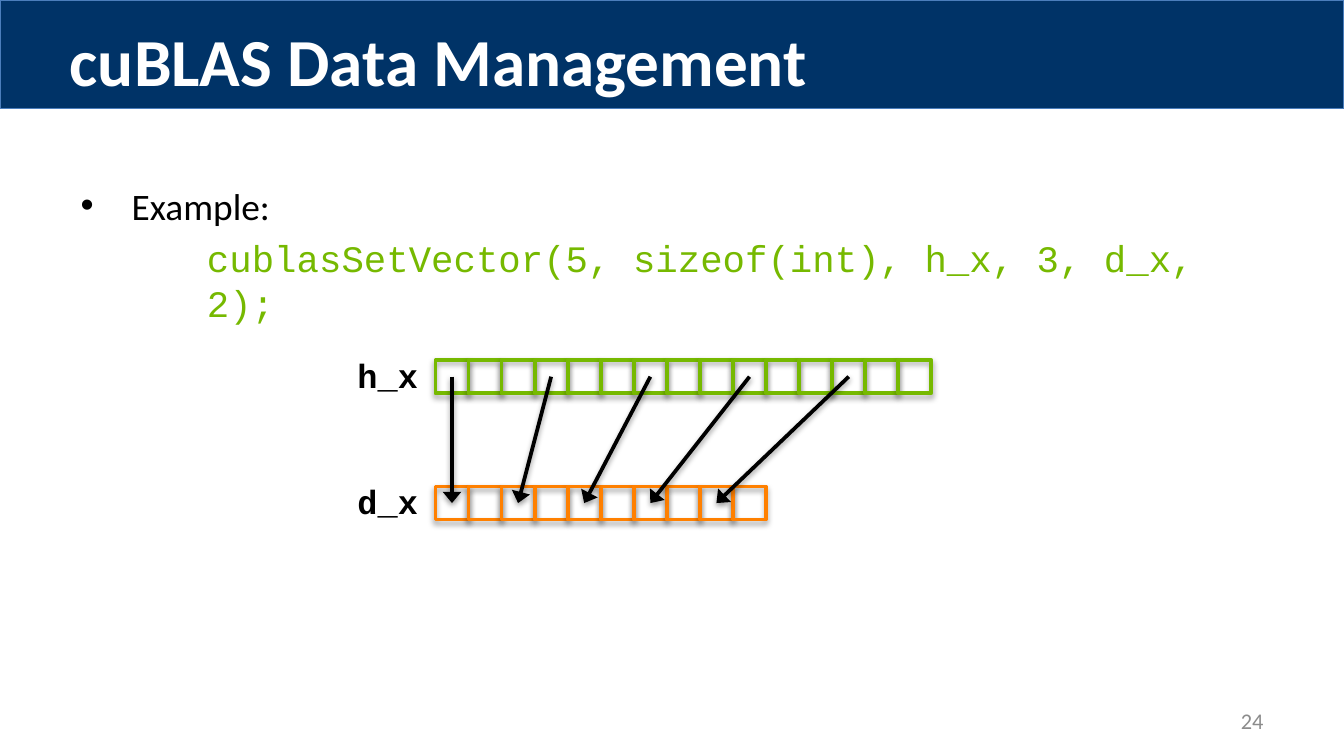
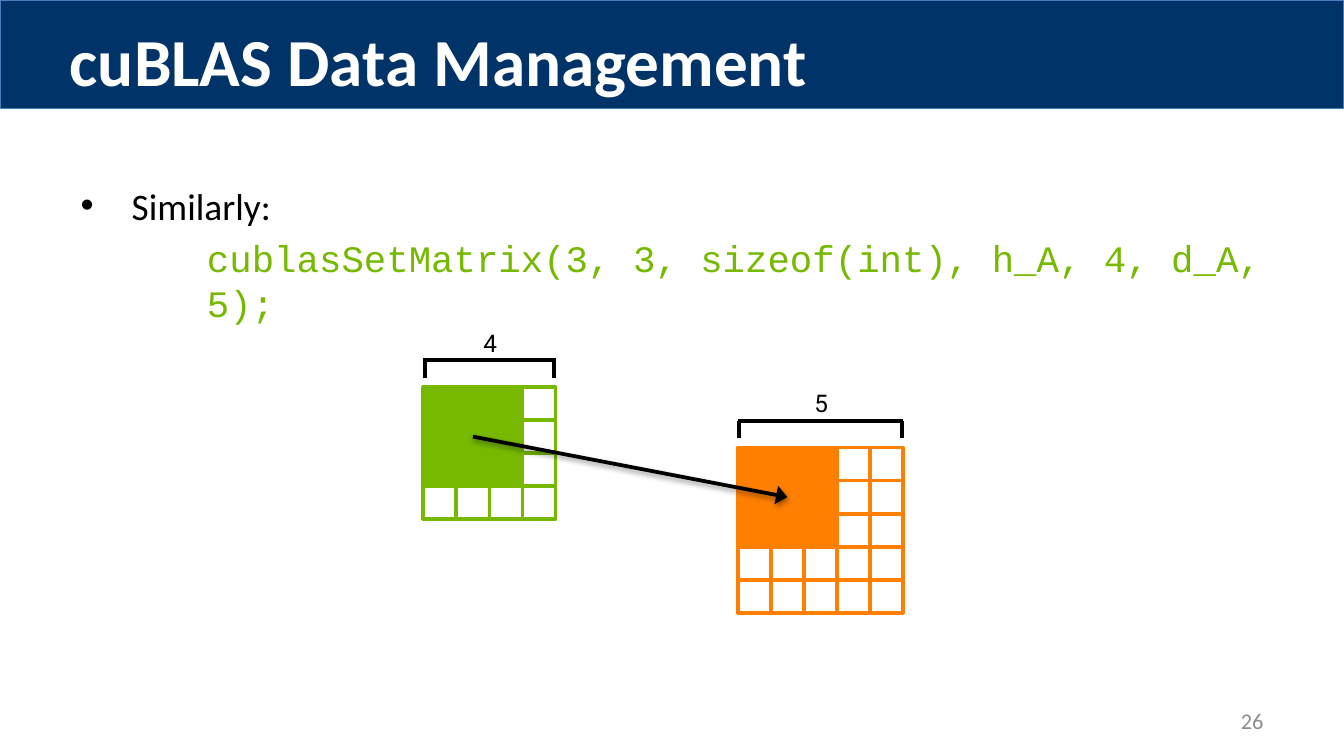
from lxml import etree
from pptx import Presentation
from pptx.dml.color import RGBColor
from pptx.enum import shapes, text
from pptx.oxml.ns import qn
from pptx.util import Inches, Pt

# Content
TITLE = "cuBLAS Data Management"
VECTOR = {
    "lead": "Example:",
    "code": "cublasSetVector(5, sizeof(int), h_x, 3, d_x, 2);",
    "number": "24",
    # label, cells, stride, top, colour
    "rows": [("h_x", 15, 3, 2.68, "green"), ("d_x", 10, 2, 3.62, "orange")],
    "copied": 5,
}
MATRIX = {
    "lead": "Similarly:",
    "code": "cublasSetMatrix(3, 3, sizeof(int), h_A, 4, d_A, 5);",
    "number": "26",
    # order, left, top, colour
    "grids": [(4, 3.15, 2.88, "green"), (5, 5.49, 3.33, "orange")],
    "copied": 3,
}

# Shared look
COLORS = {"band": "003367", "band_line": "4B7EBC", "green": "76B900", "orange": "FF8000",
          "black": "000000", "white": "FFFFFF", "grey": "8C8C8C"}
SANS, MONO, LABEL = "Calibri", "Courier New", "Roboto"
W = 10
H = W * 9 / 16
BAND_H = 0.81
VECTOR_LEFT = 3.24
CELL = 3.69 / 15
BRACKET_GAP, TICK = 0.2, 0.13
INSETS = (0.08, 0.04)


def rgb(name):
    return RGBColor.from_string(COLORS[name])


def box(left, top, width, height):
    return [Inches(v) for v in (left, top, width, height)]


def place(sp, *at):
    sp.left, sp.top, sp.width, sp.height = box(*at)


def style(p, size, font, color, bold=False):
    for r in p.runs:
        r.font.size, r.font.name, r.font.bold = Pt(size), font, bold
        r.font.color.rgb = rgb(color)


def set_effect(sp, alpha=0, distance=0):
    """Replace the theme shadow with none, or with a soft one straight below."""
    effects = etree.SubElement(sp._element.spPr, qn("a:effectLst"))
    if alpha:
        outer = etree.SubElement(effects, qn("a:outerShdw"), blurRad=str(Pt(3.1)),
                                 dist=str(Pt(distance)), dir="5400000", rotWithShape="0")
        tint = etree.SubElement(outer, qn("a:srgbClr"), val=COLORS["black"])
        etree.SubElement(tint, qn("a:alpha"), val=str(alpha * 1000))


def add_rect(s, at, fill, line, weight, shadow=()):
    sp = s.shapes.add_shape(shapes.MSO_SHAPE.RECTANGLE, *box(*at))
    if fill:
        sp.fill.solid()
        sp.fill.fore_color.rgb = rgb(fill)
    else:
        sp.fill.background()
    sp.line.color.rgb = rgb(line)
    sp.line.width = Pt(weight)
    set_effect(sp, *shadow)
    return sp


def add_line(s, start, end, arrow=False):
    ends = [Inches(v) for v in (*start, *end)]
    c = s.shapes.add_connector(shapes.MSO_CONNECTOR.STRAIGHT, *ends)
    c.line.color.rgb = rgb("black")
    c.line.width = Pt(2)
    if arrow:
        etree.SubElement(c.line._get_or_add_ln(), qn("a:tailEnd"),
                         type="triangle", w="lg", len="med")
        set_effect(c, 38, 1.6)
    else:
        set_effect(c)


def add_label(s, at, words, align, look, insets=(0.1, 0.05), anchor="TOP"):
    tf = s.shapes.add_textbox(*box(*at)).text_frame
    tf.word_wrap = True
    tf.vertical_anchor = text.MSO_ANCHOR[anchor]
    tf.margin_left = tf.margin_right = Inches(insets[0])
    tf.margin_top = tf.margin_bottom = Inches(insets[1])
    tf.text = words
    p = tf.paragraphs[0]
    p.alignment = text.PP_ALIGN[align]
    style(p, *look)


def add_slide(prs, content):
    s = prs.slides.add_slide(prs.slide_layouts[1])

    # Band behind the title
    band = add_rect(s, (0, 0, W, BAND_H), "band", "band_line", 0.75)
    s.shapes._spTree.insert(2, band._element)
    title, body = s.placeholders
    place(title, 0.42, 0.09, 8.67, 0.71)
    tf = title.text_frame
    tf.text = TITLE
    tf.auto_size = text.MSO_AUTO_SIZE.NONE
    tf.vertical_anchor = text.MSO_ANCHOR.TOP
    p = tf.paragraphs[0]
    p.alignment = text.PP_ALIGN.LEFT
    style(p, 36, SANS, "white", True)

    # Lead-in and call
    place(body, 0.5, 1.31, 9, 3.71)
    tf = body.text_frame
    tf.text = content["lead"] + "\n" + content["code"]
    tf.auto_size = text.MSO_AUTO_SIZE.NONE
    lead, code = tf.paragraphs
    code.level = 1
    for p, margin, indent in ((lead, 0.38, -0.38), (code, 0.94, 0)):
        pPr = p._p.get_or_add_pPr()
        pPr.set("marL", str(Inches(margin)))
        pPr.set("indent", str(Inches(indent)))
    lead.space_before = Pt(0)
    etree.SubElement(lead._p.pPr, qn("a:buChar"), char="•")
    etree.SubElement(code._p.pPr, qn("a:buNone"))
    style(lead, 20, SANS, "black")
    style(code, 20, MONO, "green")

    # Slide number
    add_label(s, (7.17, 5.21, 2.33, 0.3), content["number"], "RIGHT",
              (12, SANS, "grey"), anchor="MIDDLE")
    return s


def draw_vectors(s, content):
    for label, count, _, top, color in content["rows"]:
        for i in range(count):
            add_rect(s, (VECTOR_LEFT + i * CELL, top, CELL, CELL), None, color, 2, (35, 1.8))
        add_label(s, (2.33, top - 0.08, 0.86, 0.39), label, "RIGHT",
                  (18, MONO, "black", True), INSETS)
    # Each copied element, host to device
    for i in range(content["copied"]):
        start, end = [(VECTOR_LEFT + (i * stride + 0.5) * CELL, top + CELL / 2)
                      for _, _, stride, top, _ in content["rows"]]
        add_line(s, start, end, arrow=True)


def draw_matrices(s, content):
    copied = content["copied"]
    for n, left, top, color in content["grids"]:
        for row in range(n):
            for col in range(n):
                fill = color if max(row, col) < copied else None
                add_rect(s, (left + col * CELL, top + row * CELL, CELL, CELL), fill, color, 2)
        # Bracket with the leading dimension
        y, right = top - BRACKET_GAP, left + n * CELL
        add_line(s, (left, y), (right, y))
        for x in (left + 0.01, right - 0.01):
            add_line(s, (x, y + TICK), (x, y))
        add_label(s, ((left + right) / 2 - 0.2, y - 0.28, 0.41, 0.31), str(n), "CENTER",
                  (13, LABEL, "black"), INSETS)
    # Copied block, host to device
    half = copied * CELL / 2
    start, end = [(left + half, top + half) for _, left, top, _ in content["grids"]]
    add_line(s, start, end, arrow=True)


def main():
    prs = Presentation()
    prs.slide_width, prs.slide_height = Inches(W), Inches(H)
    draw_vectors(add_slide(prs, VECTOR), VECTOR)
    draw_matrices(add_slide(prs, MATRIX), MATRIX)
    prs.save("out.pptx")


if __name__ == "__main__":
    main()
